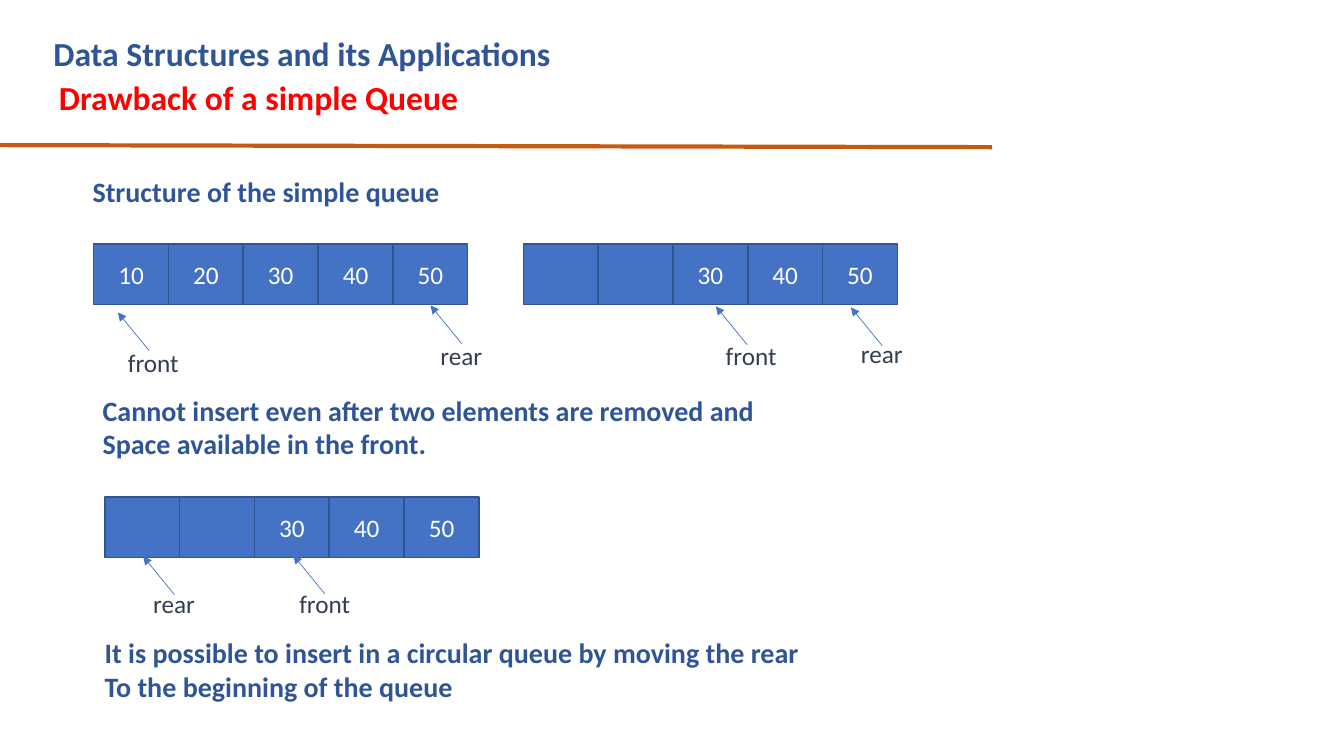
import lxml.etree
import pptx
import pptx.dml.color
import pptx.enum.shapes
import pptx.enum.text
import pptx.oxml.ns
import pptx.util
from pptx.util import Inches

NAVY = "2F5597"
BLUE = "4472C4"
CELL_WIDTH, CELL_HEIGHT = 0.74, 0.6
CELL_STEP = 2.97 / 4


def write_text(shape, text, size=20, color=NAVY, bold=False, wrap=True,
               align=pptx.enum.text.PP_ALIGN.LEFT,
               anchor=pptx.enum.text.MSO_ANCHOR.TOP):
    """Fill the shape with text, one paragraph for each line."""
    frame = shape.text_frame
    frame.text = text
    frame.word_wrap = wrap
    frame.auto_size = pptx.enum.text.MSO_AUTO_SIZE.NONE
    frame.vertical_anchor = anchor
    for paragraph in frame.paragraphs:
        paragraph.alignment = align
        for run in paragraph.runs:
            run.font.name = "Calibri"
            run.font.size = pptx.util.Pt(size)
            run.font.bold = bold
            run.font.color.rgb = pptx.dml.color.RGBColor.from_string(color)


def add_line(start, end, color, width, arrow=False):
    line = slide.shapes.add_connector(
        pptx.enum.shapes.MSO_CONNECTOR.STRAIGHT,
        *[Inches(value) for value in start + end])
    line.line.color.rgb = pptx.dml.color.RGBColor.from_string(color)
    line.line.width = pptx.util.Pt(width)
    properties = line._element.find(pptx.oxml.ns.qn("p:spPr"))
    if arrow:
        outline = properties.find(pptx.oxml.ns.qn("a:ln"))
        lxml.etree.SubElement(outline, pptx.oxml.ns.qn("a:tailEnd"), type="triangle")
    lxml.etree.SubElement(properties, pptx.oxml.ns.qn("a:effectLst"))


presentation = pptx.Presentation()
presentation.slide_width = Inches(13.33)
presentation.slide_height = Inches(7.5)
slide = presentation.slides.add_slide(presentation.slide_layouts[5])

# Heading
title = slide.shapes.title
title.left, title.top = Inches(0.43), Inches(0.28)
title.width, title.height = Inches(8.2), Inches(0.5)
write_text(title, "Data Structures and its Applications", size=24, bold=True)

subtitle = slide.shapes.add_textbox(
    Inches(0.41), Inches(0.71), Inches(9.41), Inches(0.5))
write_text(subtitle, " Drawback of a simple Queue", size=24, color="FF0000", bold=True)

add_line((-0.01, 1.44), (9.84, 1.46), "C55A11", 3)

# Explanations: left, top, width, height, text
explanations = [
    (0.82, 1.68, 3.67, 0.44, "Structure of the simple queue"),
    (0.92, 3.85, 6.73, 0.77,
     "Cannot insert even after two elements are removed and\n"
     "Space available in the front."),
    (0.94, 6.26, 7.14, 0.77,
     "It is possible to insert in a circular queue by moving the rear\n"
     "To the beginning of the queue"),
]
for left, top, width, height, text in explanations:
    box = slide.shapes.add_textbox(
        Inches(left), Inches(top), Inches(width), Inches(height))
    write_text(box, text, bold=True, wrap=False)

# Queues: left, top, cell values
queues = [
    (0.93, 2.42, ["10", "20", "30", "40", "50"]),
    (5.19, 2.42, ["", "", "30", "40", "50"]),
    (1.04, 4.93, ["", "", "30", "40", "50"]),
]
for left, top, values in queues:
    for index, value in enumerate(values):
        cell = slide.shapes.add_shape(
            pptx.enum.shapes.MSO_SHAPE.RECTANGLE,
            Inches(left + index * CELL_STEP), Inches(top),
            Inches(CELL_WIDTH), Inches(CELL_HEIGHT))
        cell.shadow.inherit = False
        cell.fill.solid()
        cell.fill.fore_color.rgb = pptx.dml.color.RGBColor.from_string(BLUE)
        cell.line.color.rgb = pptx.dml.color.RGBColor.from_string("325491")
        cell.line.width = pptx.util.Pt(1)
        write_text(cell, value, size=18, color="FFFFFF",
                   align=pptx.enum.text.PP_ALIGN.CENTER,
                   anchor=pptx.enum.text.MSO_ANCHOR.MIDDLE)

# Pointers: name, arrow tip, top left corner of the label
pointers = [
    ("front", (1.17, 3.1), (1.17, 3.4)),
    ("rear", (4.27, 3.03), (4.27, 3.33)),
    ("front", (7.1, 3.04), (7.1, 3.33)),
    ("rear", (8.44, 3.05), (8.44, 3.31)),
    ("rear", (1.42, 5.52), (1.42, 5.79)),
    ("front", (2.91, 5.51), (2.87, 5.79)),
]
for name, tip, (left, top) in pointers:
    label = slide.shapes.add_textbox(
        Inches(left), Inches(top), Inches(0.94), Inches(0.4))
    write_text(label, name, size=18, color="333F50")
    add_line((tip[0] + 0.31, tip[1] + 0.38), tip, BLUE, 0.5, arrow=True)

presentation.save("out.pptx")
